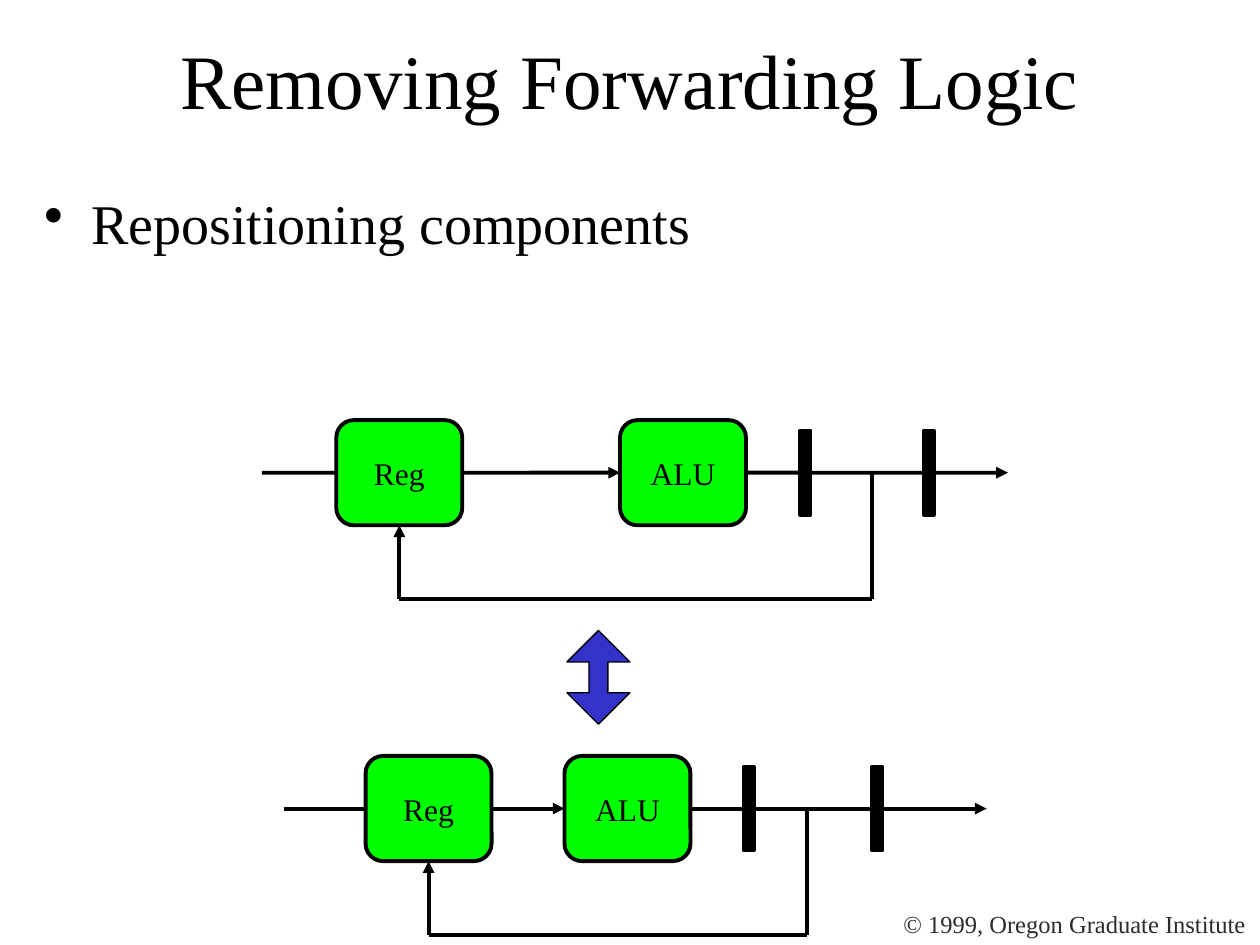
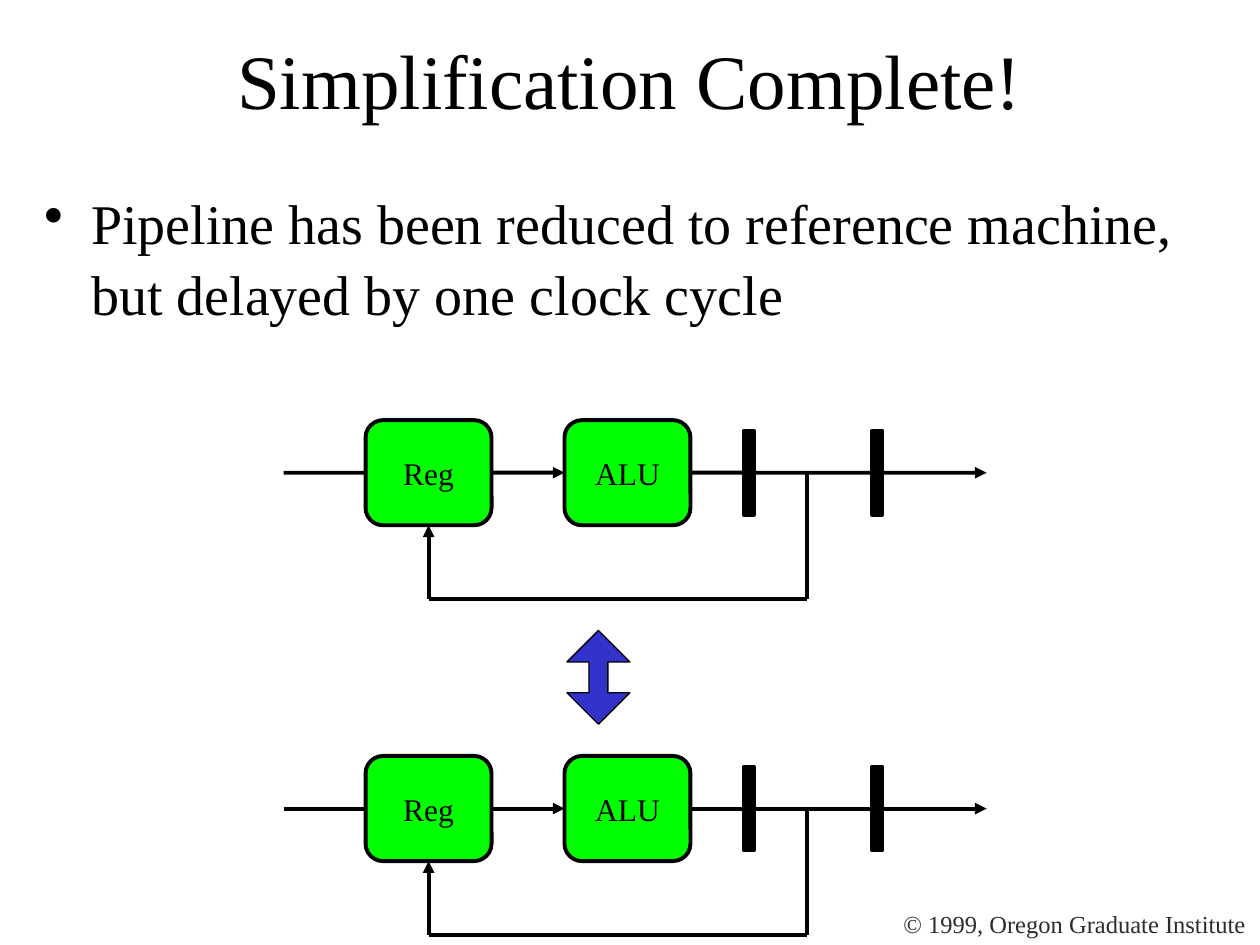
from dataclasses import dataclass

from lxml.etree import SubElement
from pptx import Presentation
from pptx.dml.color import RGBColor
from pptx.enum.shapes import MSO_CONNECTOR, MSO_SHAPE
from pptx.enum.text import MSO_ANCHOR, PP_ALIGN
from pptx.oxml.ns import qn
from pptx.util import Cm, Pt

FONT = "Times New Roman"
BLACK, FOOTER_GREY, GREEN, BLUE = "000000", "2C2C2C", "01FF01", "3333CC"
LINE_WIDTH = 2.25
BLOCK_WIDTH, BLOCK_HEIGHT = 2.54, 2.12
LATCH_WIDTH, LATCH_HEIGHT = 0.21, 1.69
FEEDBACK_DROP = 2.54
UPPER_AXIS, LOWER_AXIS = 9.53, 16.3


@dataclass
class Pipeline:
    """Horizontal positions of one pipeline's parts, in centimetres."""

    start: float
    reg: float
    alu: float
    latches: tuple
    tap: float
    end: float


SPREAD = Pipeline(5.28, 6.78, 12.5, (16.13, 18.62), 17.58, 20.32)
COMPACT = Pipeline(5.72, 7.37, 11.38, (14.99, 17.58), 16.26, 19.89)


def color(hex_string):
    """Turn a hex string into a colour."""
    return RGBColor.from_string(hex_string)


def write(frame, text, size, ink=BLACK, align=PP_ALIGN.LEFT,
          anchor=MSO_ANCHOR.TOP, wrap=True, bullet=False):
    """Fill a text frame with one styled paragraph."""
    frame.word_wrap = wrap
    frame.vertical_anchor = anchor
    paragraph = frame.paragraphs[0]
    paragraph.text = text
    paragraph.alignment = align
    if bullet:
        paragraph.line_spacing = 1.06
        properties = paragraph._p.get_or_add_pPr()
        properties.set("marL", str(Cm(0.95)))
        properties.set("indent", str(Cm(-0.95)))
        SubElement(properties, qn("a:buChar")).set("char", "•")
    paragraph.font.name = FONT
    paragraph.font.size = Pt(size)
    paragraph.font.color.rgb = color(ink)


def add_text(slide, left, top, width, height, text, size, **style):
    """Add a text box."""
    box = slide.shapes.add_textbox(Cm(left), Cm(top), Cm(width), Cm(height))
    write(box.text_frame, text, size, **style)


def add_figure(slide, kind, left, top, width, height, fill, line_width=LINE_WIDTH):
    """Add a filled preset shape with a black outline."""
    shape = slide.shapes.add_shape(kind, Cm(left), Cm(top), Cm(width), Cm(height))
    shape.shadow.inherit = False
    shape.fill.solid()
    shape.fill.fore_color.rgb = color(fill)
    shape.line.color.rgb = color(BLACK)
    shape.line.width = Pt(line_width)
    return shape


def add_block(slide, left, axis, label):
    """Add a labelled green block centred on the axis."""
    block = add_figure(slide, MSO_SHAPE.ROUNDED_RECTANGLE, left,
                       axis - BLOCK_HEIGHT / 2, BLOCK_WIDTH, BLOCK_HEIGHT, GREEN)
    write(block.text_frame, label, 18, align=PP_ALIGN.CENTER,
          anchor=MSO_ANCHOR.MIDDLE, wrap=False)
    return block


def add_wire(slide, start, end, arrow=False):
    """Add a straight line between two points, with an optional arrowhead."""
    wire = slide.shapes.add_connector(
        MSO_CONNECTOR.STRAIGHT, *(Cm(value) for value in start + end))
    wire.line.color.rgb = color(BLACK)
    wire.line.width = Pt(LINE_WIDTH)
    if arrow:
        SubElement(wire.line._get_or_add_ln(), qn("a:tailEnd")).set("type", "triangle")
    SubElement(wire._element.spPr, qn("a:effectLst"))
    return wire


def add_pipeline(slide, pipeline, axis):
    """Draw the blocks, latches and feedback loop along one axis."""
    feedback = axis + FEEDBACK_DROP
    reg_middle = pipeline.reg + BLOCK_WIDTH / 2
    alu = add_block(slide, pipeline.alu, axis, "ALU")
    source = add_wire(slide, (pipeline.start, axis), (pipeline.alu, axis), arrow=True)
    source.end_connect(alu, 1)
    reg = add_block(slide, pipeline.reg, axis, "Reg")
    result = add_wire(slide, (pipeline.alu + BLOCK_WIDTH, axis),
                      (pipeline.end, axis), arrow=True)
    result.begin_connect(alu, 3)
    add_wire(slide, (pipeline.tap, feedback), (pipeline.tap, axis))
    add_wire(slide, (reg_middle, feedback), (pipeline.tap, feedback))
    write_back = add_wire(slide, (reg_middle, feedback),
                          (reg_middle, axis + BLOCK_HEIGHT / 2), arrow=True)
    write_back.end_connect(reg, 2)
    for latch in pipeline.latches:
        add_figure(slide, MSO_SHAPE.RECTANGLE, latch, axis - LATCH_HEIGHT / 2,
                   LATCH_WIDTH, LATCH_HEIGHT, BLACK)


def add_equivalence_arrow(slide):
    """Add the double arrow between the two pipelines."""
    arrow = add_figure(slide, MSO_SHAPE.UP_DOWN_ARROW, 11.43, 12.71, 1.27, 1.89,
                       BLUE, line_width=0.75)
    arrow.adjustments[0] = 0.5
    arrow.adjustments[1] = 0.3


def add_comparison_slide(presentation, title, point, upper, lower):
    """Add a slide that sets two equivalent pipelines one above the other."""
    slide = presentation.slides.add_slide(presentation.slide_layouts[6])
    add_text(slide, 17.96, 18.2, 7.42, 0.86, "© 1999, Oregon Graduate Institute",
             14, ink=FOOTER_GREY, wrap=False)
    add_text(slide, 1.9, 0, 21.6, 3.18, title, 44, align=PP_ALIGN.CENTER,
             anchor=MSO_ANCHOR.MIDDLE)
    add_text(slide, 0.64, 3.6, 24.13, 4.24, point, 32, bullet=True)
    add_pipeline(slide, upper, UPPER_AXIS)
    add_pipeline(slide, lower, LOWER_AXIS)
    add_equivalence_arrow(slide)


def main():
    """Build and save the presentation."""
    presentation = Presentation()
    presentation.slide_width, presentation.slide_height = Cm(25.4), Cm(19.05)
    add_comparison_slide(presentation, "Removing Forwarding Logic",
                         "Repositioning components", SPREAD, COMPACT)
    add_comparison_slide(
        presentation, "Simplification Complete!",
        "Pipeline has been reduced to reference machine, "
        "but delayed by one clock cycle", COMPACT, COMPACT)
    presentation.save("out.pptx")


if __name__ == "__main__":
    main()
